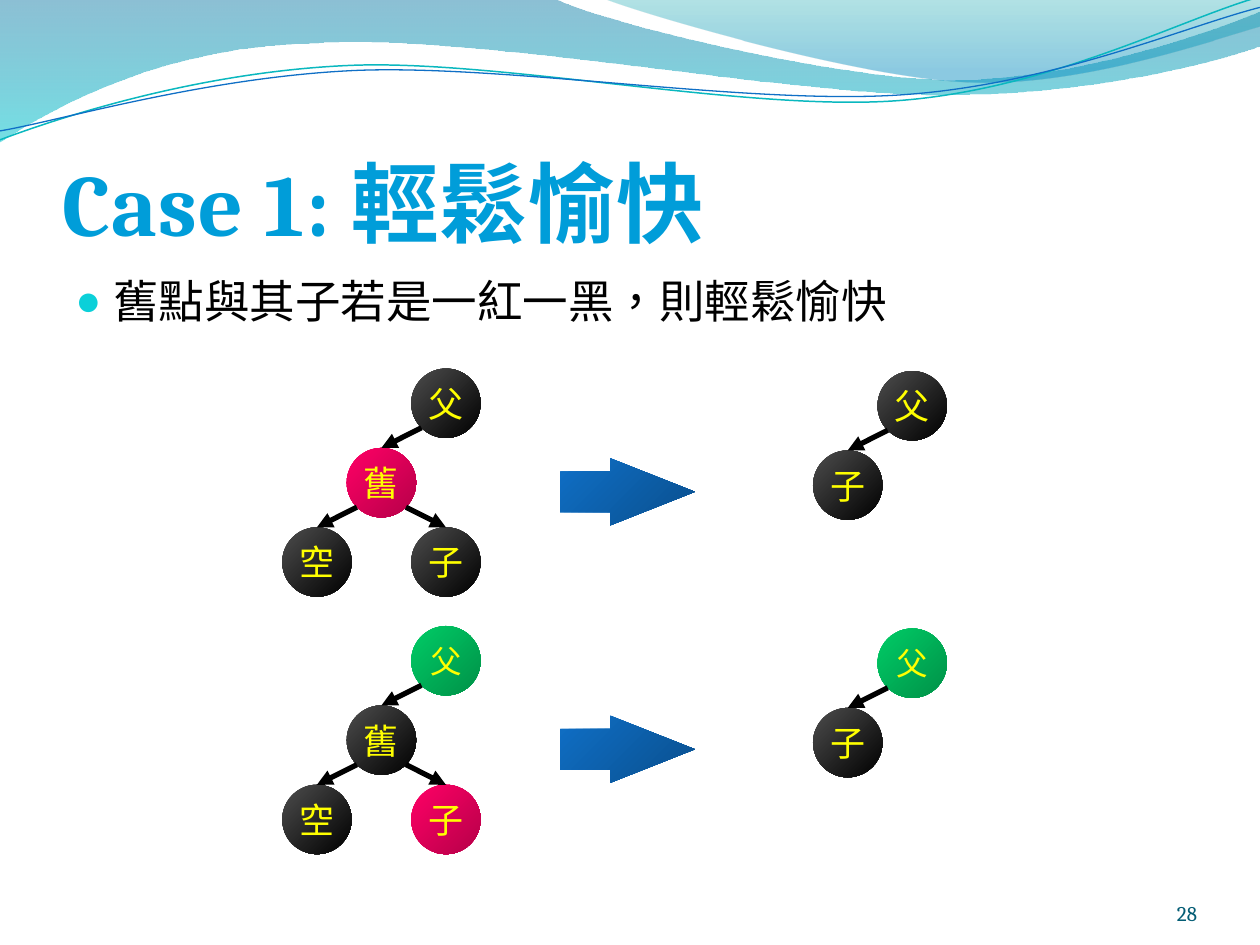
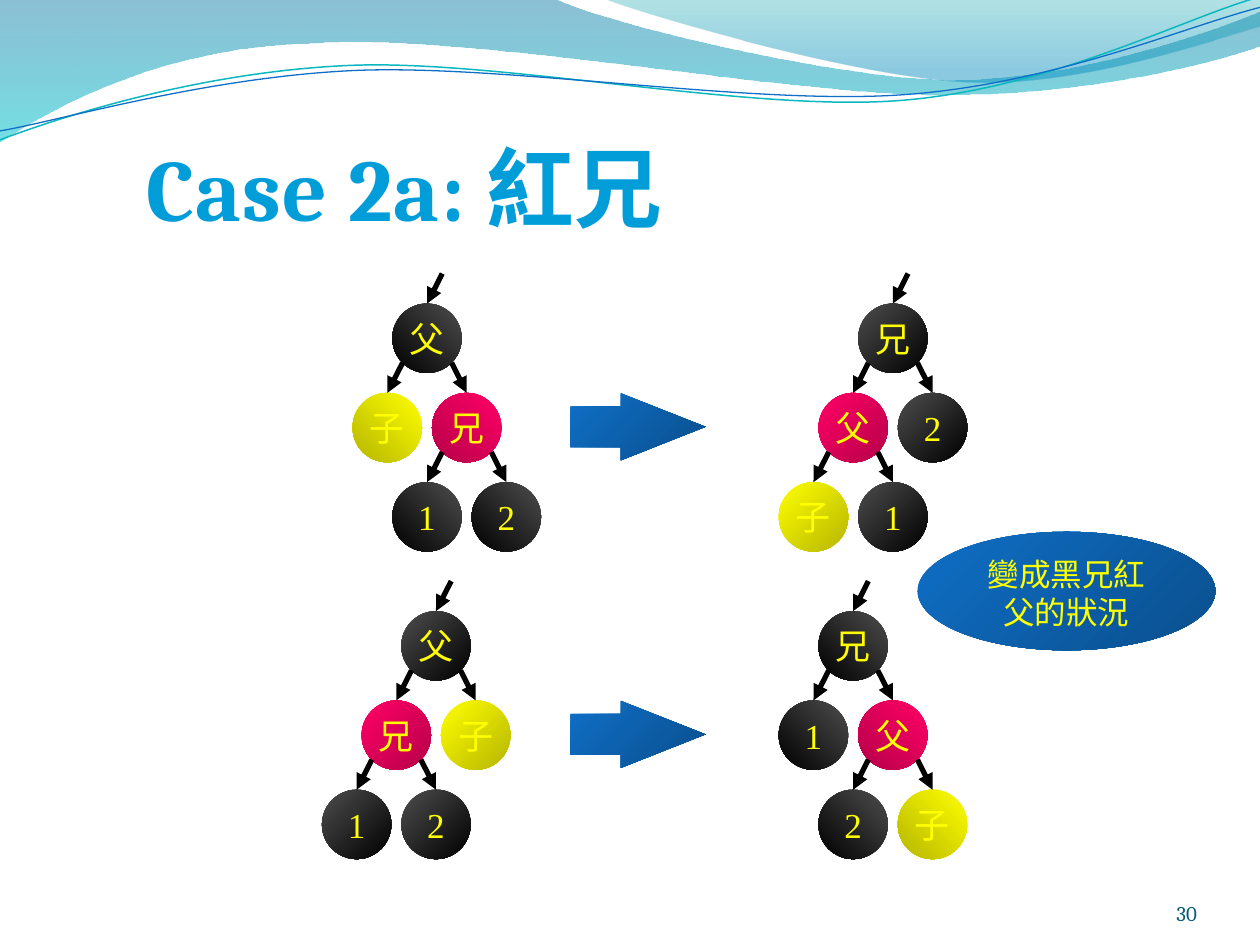
from dataclasses import dataclass
from math import sqrt
from typing import Optional

from lxml.etree import SubElement
from pptx import Presentation
from pptx.dml.color import RGBColor
from pptx.enum.shapes import MSO_CONNECTOR as CONNECTOR, MSO_SHAPE as SHAPE
from pptx.enum.text import MSO_ANCHOR as ANCHOR, PP_ALIGN as ALIGN
from pptx.oxml.ns import qn
from pptx.util import Cm, Pt

HEADING_FONT, NODE_FONT = "Cambria", "Times New Roman"
TITLE_BLUE, TITLE_SHADE = "009DD9", "006F99"
NUMBER_BLUE, BULLET_CYAN = "045D75", "0BD0D9"
TEXT_BLACK, NODE_TEXT = "000000", "FFFF00"
BLUE, BLACK, RED, GREEN, YELLOW = "0F6FC6", "4D4D4D", "FF0066", "00CC66", "FFFF00"

NODE_SIZE = 1.4
NODE_REACH = NODE_SIZE / 2 / sqrt(2)  # from a node's centre to its diagonal edge point

# A curve is a start point and segments: one point is a line, three are a Bézier.
WIDE_WAVE = [(0, 0), [(11.18, -0.03)],
             [(12.09, 0.43), (16.87, 1.6), (19.25, 1.6)],
             [(21.67, 1.6), (24.33, 0.66), (25.4, 0.23)], [(25.43, 0.91)],
             [(24.97, 1.12), (22.1, 1.93), (18.95, 1.91)],
             [(15.8, 1.91), (9.7, 0.71), (6.53, 0.86)],
             [(3.28, 0.91), (1.17, 2.11), (-0.03, 2.87)]]
RIGHT_WAVE = [(12.17, -0.03),
              [(12.93, 0.28), (17.32, 1.57), (19.53, 1.65)],
              [(21.74, 1.75), (24.41, 0.81), (25.4, 0.53)], [(25.4, 0)]]
TEAL_LINE = [(0, 2.82),
             [(1.22, 2.36), (4.01, 1.45), (7.04, 1.32)],
             [(10.03, 1.19), (15.06, 2.26), (18.11, 2.03)],
             [(21.16, 1.8), (23.83, 0.38), (25.35, -0.05)]]
BLUE_LINE = [(0, 2.64),
             [(1.19, 2.44), (4.17, 1.55), (7.19, 1.42)],
             [(10.24, 1.3), (15.16, 2.13), (18.21, 1.91)],
             [(21.23, 1.7), (23.9, 0.53), (25.4, 0.15)]]


@dataclass
class Node:
    label: str
    colour: str = BLACK
    left: Optional["Node"] = None
    right: Optional["Node"] = None
    text_size: int = 20


@dataclass
class Tree:
    """A root node, the centre it is drawn at, and how its branches spread."""
    root: Node
    x: float
    y: float
    dx: float
    dy: float
    mirrored: bool = False
    has_entry: bool = False


def rgb(value):
    return RGBColor.from_string(value)


def set_gradient(fill, colours, angle, positions=(0, 1)):
    fill.gradient()
    fill.gradient_angle = 360 - angle
    for stop, colour, position in zip(fill.gradient_stops, colours, positions):
        stop.color.rgb = rgb(colour)
        stop.position = position


def fill_wave(shape, colours, opacity, end=1):
    shape.shadow.inherit = False
    shape.line.fill.background()
    set_gradient(shape.fill, colours, 90, (0, end))
    for colour, percent in zip(shape.element.spPr.iter(qn("a:srgbClr")), opacity):
        SubElement(colour, qn("a:alpha"), val=str(percent * 1000))


def fill_shaded(shape, colour):
    """Fill diagonally from a colour to its dark shade, or from grey to black."""
    shape.shadow.inherit = False
    shape.line.fill.background()
    set_gradient(shape.fill, (colour, TEXT_BLACK if colour == BLACK else colour), 45)
    if colour != BLACK:
        last = list(shape.element.spPr.iter(qn("a:srgbClr")))[-1]
        SubElement(last, qn("a:shade"), val="46275")


def style(para, size, font, colour, align=ALIGN.LEFT, bold=False):
    para.alignment = align
    para.font.size = Pt(size)
    para.font.name = font
    para.font.bold = bold
    para.font.color.rgb = rgb(colour)
    for span in para.runs:
        span.font._element.set("lang", "zh-TW")


def add_text(page, box, text, anchor, margins=None):
    frame = page.shapes.add_textbox(*map(Cm, box)).text_frame
    frame.word_wrap = True
    frame.vertical_anchor = anchor
    if margins:
        (frame.margin_left, frame.margin_top,
         frame.margin_right, frame.margin_bottom) = map(Cm, margins)
    para = frame.paragraphs[0]
    para.text = text
    return para


def add_curve(page, curve, close):
    """Outline the curve's points, then merge each Bézier's three lines into one."""
    start, *segments = curve
    points = [(Cm(x), Cm(y)) for segment in segments for x, y in segment]
    builder = page.shapes.build_freeform(*map(Cm, start))
    builder.add_line_segments(points, close=close)
    shape = builder.convert_to_shape()
    lines = iter(list(shape.element.spPr.iter(qn("a:lnTo"))))
    for segment in segments:
        first, *others = [next(lines) for _ in segment]
        if others:
            first.tag = qn("a:cubicBezTo")
        for line in others:
            first.append(line[0])
            line.getparent().remove(line)
    return shape


def add_waves(page):
    fill_wave(add_curve(page, WIDE_WAVE, True), ("0074A1", "00C6CF"), (45, 55))
    fill_wave(add_curve(page, RIGHT_WAVE, True), ("00A1A9", "008BBF"), (30, 45), 0.8)
    for curve, colour, width in ((TEAL_LINE, "0AB8BF", 0.85), (BLUE_LINE, "0F6FC6", 0.75)):
        line = add_curve(page, curve, False)
        line.shadow.inherit = False
        line.fill.background()
        line.line.color.rgb = rgb(colour)
        line.line.width = Pt(width)


def add_page(deck, title, title_box, number):
    """Add a blank slide with the waves, title and slide number."""
    page = deck.slides.add_slide(deck.slide_layouts[6])
    add_waves(page)
    para = add_text(page, (22.02, 17.65, 2.11, 1.02), number, ANCHOR.BOTTOM, (0, 0, 0, 0))
    style(para, 12, HEADING_FONT, NUMBER_BLUE, ALIGN.RIGHT)
    para = add_text(page, title_box, title, ANCHOR.BOTTOM, (0, 0.13, 0, 0))
    style(para, 50, HEADING_FONT, TITLE_BLUE, bold=True)
    font = para.runs[0].font
    set_gradient(font.fill, (TITLE_BLUE, TITLE_SHADE), 90, (0.25, 1))
    font._element.set("spc", "50")
    return page


def add_bullet(page, box, text):
    para = add_text(page, box, text, ANCHOR.TOP)
    properties = para._p.get_or_add_pPr()
    properties.set("marL", str(Cm(0.76)))
    properties.set("indent", str(-Cm(0.76)))
    colour = SubElement(properties, qn("a:buClr"))
    SubElement(colour, qn("a:srgbClr"), val=BULLET_CYAN)
    SubElement(properties, qn("a:buSzPct"), val="95000")
    SubElement(properties, qn("a:buFont"), typeface=NODE_FONT)
    SubElement(properties, qn("a:buChar"), char="●")
    style(para, 26, HEADING_FONT, TEXT_BLACK)


def add_node(page, node, x, y, mirrored):
    corner = x - NODE_SIZE / 2, y - NODE_SIZE / 2
    circle = page.shapes.add_shape(SHAPE.OVAL, *map(Cm, (*corner, NODE_SIZE, NODE_SIZE)))
    fill_shaded(circle, node.colour)
    if mirrored:
        circle.element.spPr.xfrm.set("flipH", "1")
    frame = circle.text_frame
    frame.word_wrap = False
    frame.vertical_anchor = ANCHOR.MIDDLE
    para = frame.paragraphs[0]
    para.text = node.label
    style(para, node.text_size, NODE_FONT, NODE_TEXT, ALIGN.CENTER)
    return circle


def add_edge(page, parent_x, parent_y, side, child, child_x, child_y):
    """Draw an arrow from a parent's lower left (-1) or right (1) to the child's top."""
    ends = (parent_x + side * NODE_REACH, parent_y + NODE_REACH,
            child_x, child_y - NODE_SIZE / 2)
    edge = page.shapes.add_connector(CONNECTOR.STRAIGHT, *map(Cm, ends))
    edge.end_connect(child, 0)
    edge.line.color.rgb = rgb(TEXT_BLACK)
    edge.line.width = Pt(3)
    SubElement(edge.line._get_or_add_ln(), qn("a:tailEnd"), type="triangle")
    SubElement(edge.element.spPr, qn("a:effectLst"))


def draw_branch(page, tree, node, x, y):
    circle = add_node(page, node, x, y, tree.mirrored)
    for side, child in ((-1, node.left), (1, node.right)):
        if child:
            child_x, child_y = x + side * tree.dx, y + tree.dy
            child_circle = draw_branch(page, tree, child, child_x, child_y)
            add_edge(page, x, y, side, child_circle, child_x, child_y)
    return circle


def draw_tree(page, tree):
    root = draw_branch(page, tree, tree.root, tree.x, tree.y)
    if tree.has_entry:
        add_edge(page, tree.x + tree.dx, tree.y - tree.dy, -1, root, tree.x, tree.y)


def draw_change(page, before, after, arrow_left):
    """Draw the tree before and after, with a block arrow between them."""
    draw_tree(page, before)
    arrow = page.shapes.add_shape(
        SHAPE.RIGHT_ARROW, *map(Cm, (arrow_left, before.y + 1.11, 2.72, 1.35)))
    arrow.adjustments[0], arrow.adjustments[1] = 0.608, 1.261
    fill_shaded(arrow, BLUE)
    draw_tree(page, after)


def add_callout(page, box, text):
    bubble = page.shapes.add_shape(SHAPE.OVAL, *map(Cm, box))
    fill_shaded(bubble, BLUE)
    frame = bubble.text_frame
    frame.word_wrap = True
    frame.vertical_anchor = ANCHOR.TOP
    para = frame.paragraphs[0]
    para.text = text
    style(para, 18, HEADING_FONT, NODE_TEXT, ALIGN.CENTER)


def build_easy_case(deck):
    page = add_page(deck, "Case 1: 輕鬆愉快", (1.27, 1.95, 22.86, 3.18), "28")
    add_bullet(page, (1.27, 5.38, 22.86, 12.19), "舊點與其子若是一紅一黑，則輕鬆愉快")
    spread = {"dx": 1.3, "dy": 1.6}
    rows = ((8.13, BLACK, 20, RED, BLACK), (13.32, GREEN, 18, BLACK, RED))
    for y, parent, size, old, child in rows:
        old_node = Node("舊", old, Node("空"), Node("子", child))
        before = Node("父", parent, old_node, text_size=size)
        after = Node("父", parent, Node("子"), text_size=size)
        draw_change(page, Tree(before, 8.99, y, **spread),
                    Tree(after, 18.39, y + 0.05, **spread), 11.29)


def build_red_sibling_case(deck):
    page = add_page(deck, "Case 2a: 紅兄", (2.96, 0.83, 22.15, 3.99), "30")
    spread = {"dx": 0.8, "dy": 1.8, "has_entry": True}
    one, two, child = Node("1"), Node("2"), Node("子", YELLOW)

    upper, lower = 6.82, 13.02
    before = Node("父", BLACK, child, Node("兄", RED, one, two))
    after = Node("兄", BLACK, Node("父", RED, child, one), two)
    draw_change(page, Tree(before, 8.61, upper, mirrored=True, **spread),
                Tree(after, 18, upper, **spread), 11.5)

    before = Node("父", BLACK, Node("兄", RED, one, two), child)
    after = Node("兄", BLACK, one, Node("父", RED, two, child))
    draw_change(page, Tree(before, 8.79, lower, **spread),
                Tree(after, 17.2, lower, mirrored=True, **spread), 11.5)
    add_callout(page, (18.5, 10.72, 6, 2.39), "變成黑兄紅父的狀況")


def main():
    deck = Presentation()
    deck.slide_width, deck.slide_height = Cm(25.4), Cm(19.05)
    build_easy_case(deck)
    build_red_sibling_case(deck)
    deck.save("out.pptx")


if __name__ == "__main__":
    main()
